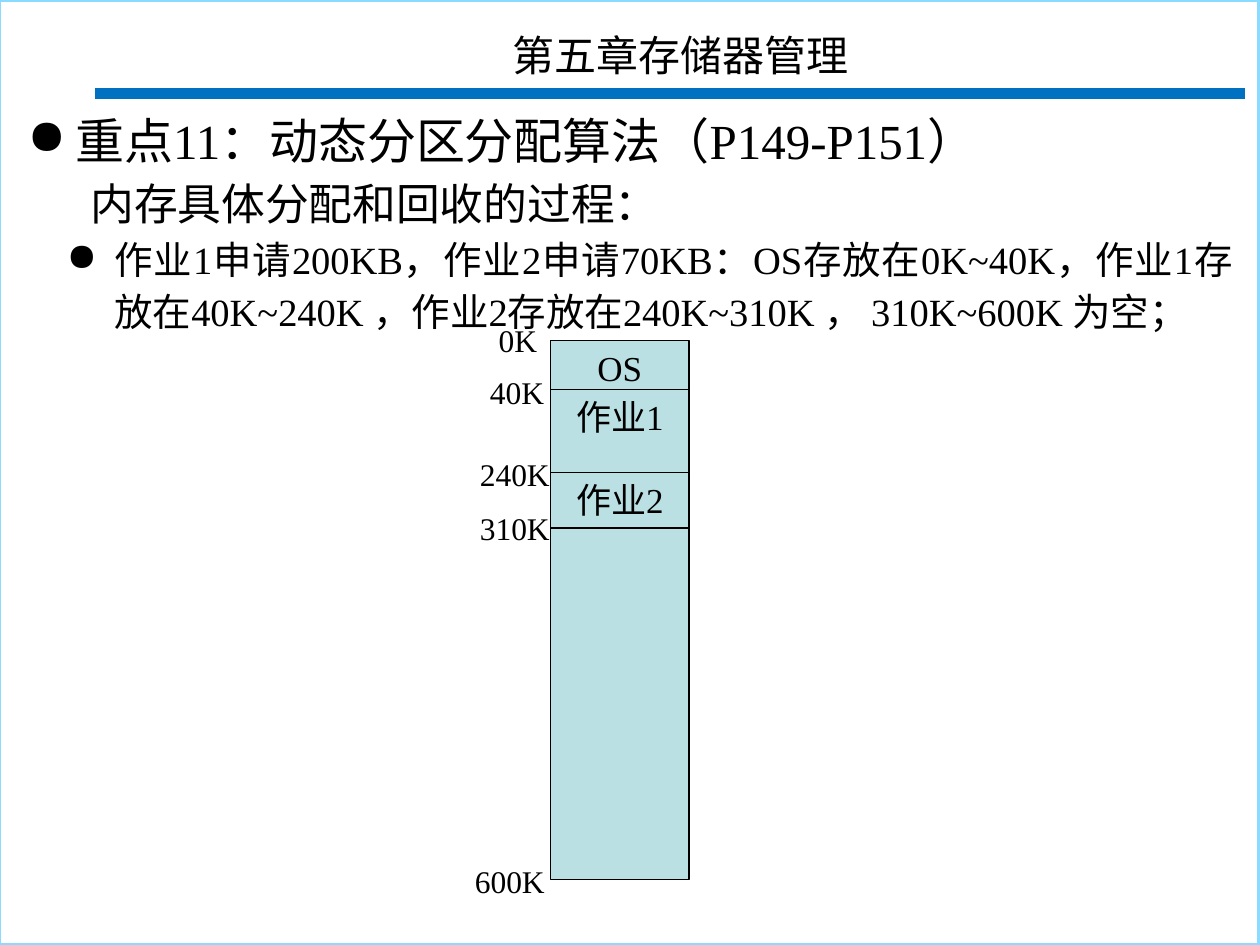
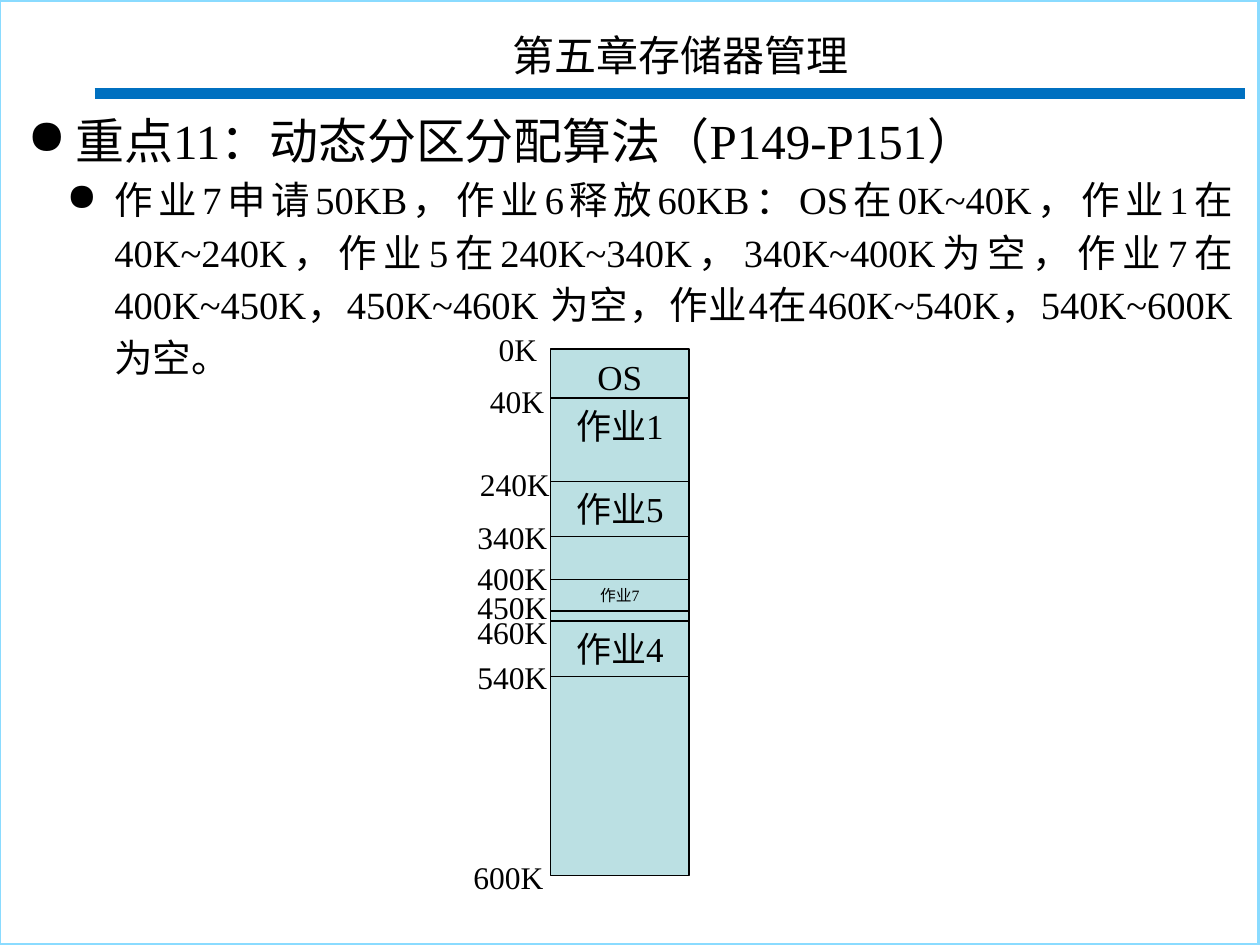
from lxml.etree import SubElement
from pptx import Presentation
from pptx.dml.color import RGBColor
from pptx.enum.shapes import MSO_CONNECTOR, MSO_SHAPE
from pptx.enum.text import MSO_ANCHOR, MSO_AUTO_SIZE, PP_ALIGN
from pptx.oxml.ns import qn
from pptx.util import Inches, Pt

FONT = "Times New Roman"
BLACK, FRAME, BAND, BLOCK = "000000", "8ADBFF", "0070C0", "BBE0E3"
TITLE = "第五章存储器管理"
TOPIC = "重点11：动态分区分配算法（P149-P151）"
BAR_LEFT, BAR_WIDTH = 4.37, 1.1
LABEL_HEIGHT = 0.4

# Body levels: size, left indent, first-line indent, line spacing, bullet
LEVELS = {
    "topic": (28, 0.38, -0.38, None, "●"),
    "lead": (25, 0.5, 0, 1.14, None),
    "detail": (22, 0.69, -0.38, 1.14, "●"),
}


def color(value):
    return RGBColor.from_string(value)


def add_run(para, text, size):
    run = para.add_run()
    run.text = text
    run.font.size = Pt(size)
    run.font.name = FONT
    run.font.color.rgb = color(BLACK)


def add_box(slide, left, top, width, height, wrap=True):
    box = slide.shapes.add_textbox(
        Inches(left), Inches(top), Inches(width), Inches(height))
    box.text_frame.word_wrap = wrap
    return box.text_frame


def add_rect(slide, left, top, width, height, line, weight, fill=None):
    rect = slide.shapes.add_shape(
        MSO_SHAPE.RECTANGLE,
        Inches(left), Inches(top), Inches(width), Inches(height))
    rect.shadow.inherit = False
    rect.line.color.rgb = color(line)
    rect.line.width = Pt(weight)
    if fill:
        rect.fill.solid()
        rect.fill.fore_color.rgb = color(fill)
    else:
        rect.fill.background()
    return rect


def add_band(slide):
    band = slide.shapes.add_connector(
        MSO_CONNECTOR.STRAIGHT,
        Inches(0.75), Inches(0.74), Inches(9.88), Inches(0.74))
    band.line.color.rgb = color(BAND)
    band.line.width = Pt(6.25)
    SubElement(band._element.spPr, qn("a:effectLst"))


def add_title(slide):
    frame = add_box(slide, 0.91, 0.06, 8.98, 0.63)
    frame.vertical_anchor = MSO_ANCHOR.MIDDLE
    para = frame.paragraphs[0]
    para.alignment = PP_ALIGN.CENTER
    para.line_spacing = 1.3
    add_run(para, TITLE, 24)


def set_indent(para, left, first, bullet):
    props = para._p.get_or_add_pPr()
    props.set("marL", str(Inches(left)))
    props.set("indent", str(Inches(first)))
    if bullet:
        SubElement(props, qn("a:buChar")).set("char", bullet)
    else:
        SubElement(props, qn("a:buNone"))


def add_body(slide, items):
    """Write the topic line, then the (level, text) items."""
    frame = add_box(slide, 0.12, 0.83, 9.76, 6.23)
    for i, (level, text) in enumerate([("topic", TOPIC), *items]):
        para = frame.paragraphs[0] if i == 0 else frame.add_paragraph()
        size, left, first, spacing, bullet = LEVELS[level]
        set_indent(para, left, first, bullet)
        if spacing:
            para.line_spacing = spacing
            para.alignment = PP_ALIGN.JUSTIFY
        add_run(para, text, size)


def add_block(slide, top, height, job=None, size=20):
    rect = add_rect(slide, BAR_LEFT, top, BAR_WIDTH, height,
                    BLACK, 0.75, BLOCK)
    if job:
        frame = rect.text_frame
        frame.word_wrap = True
        frame.auto_size = MSO_AUTO_SIZE.SHAPE_TO_FIT_TEXT
        frame.vertical_anchor = MSO_ANCHOR.TOP
        para = frame.paragraphs[0]
        para.alignment = PP_ALIGN.CENTER
        add_run(para, job, size)


def add_label(slide, text, left, top):
    width = {2: 0.51, 3: 0.64, 4: 0.76}[len(text)]
    frame = add_box(slide, left, top, width, LABEL_HEIGHT, wrap=False)
    frame.auto_size = MSO_AUTO_SIZE.SHAPE_TO_FIT_TEXT
    add_run(frame.paragraphs[0], text, 18)


def add_page(deck, items, blocks, labels):
    """Add a slide with its text and its memory map, back to front."""
    slide = deck.slides.add_slide(deck.slide_layouts[6])
    add_rect(slide, -0.01, 0, 10, 7.5, FRAME, 2.25)
    add_band(slide)
    add_title(slide)
    add_body(slide, items)
    for block in blocks:
        add_block(slide, *block)
    for label in labels:
        add_label(slide, *label)


def main():
    deck = Presentation()
    deck.slide_width, deck.slide_height = Inches(10), Inches(7.5)
    add_page(
        deck,
        [("lead", "内存具体分配和回收的过程："),
         ("detail", "作业1申请200KB，作业2申请70KB：OS存放在0K~40K，"
                    "作业1存放在40K~240K ，作业2存放在240K~310K ， "
                    "310K~600K 为空；")],
        [(2.7, 0.44, "OS"), (3.09, 0.77, "作业1"),
         (3.75, 0.44, "作业2"), (4.19, 2.79)],
        [("0K", 3.86, 2.5), ("40K", 3.79, 2.91), ("240K", 3.71, 3.56),
         ("310K", 3.71, 3.99), ("600K", 3.67, 6.79)])
    add_page(
        deck,
        [("detail", "作业7申请50KB，作业6释放60KB：OS在0K~40K，"
                    "作业1在40K~240K，作业5在240K~340K，340K~400K为空，"
                    "作业7在400K~450K，450K~460K 为空，"
                    "作业4在460K~540K，540K~600K 为空。")],
        [(4.77, 0.25), (2.77, 0.44, "OS"), (3.16, 0.77, "作业1"),
         (3.82, 0.44, "作业5"), (4.26, 0.34), (4.6, 0.25, "作业7", 9),
         (4.93, 0.44, "作业4"), (5.37, 1.58)],
        [("0K", 3.86, 2.57), ("40K", 3.79, 2.98), ("240K", 3.71, 3.64),
         ("340K", 3.69, 4.06), ("400K", 3.69, 4.39), ("450K", 3.69, 4.62),
         ("460K", 3.69, 4.82), ("540K", 3.69, 5.17), ("600K", 3.66, 6.76)])
    deck.save("out.pptx")


if __name__ == "__main__":
    main()
